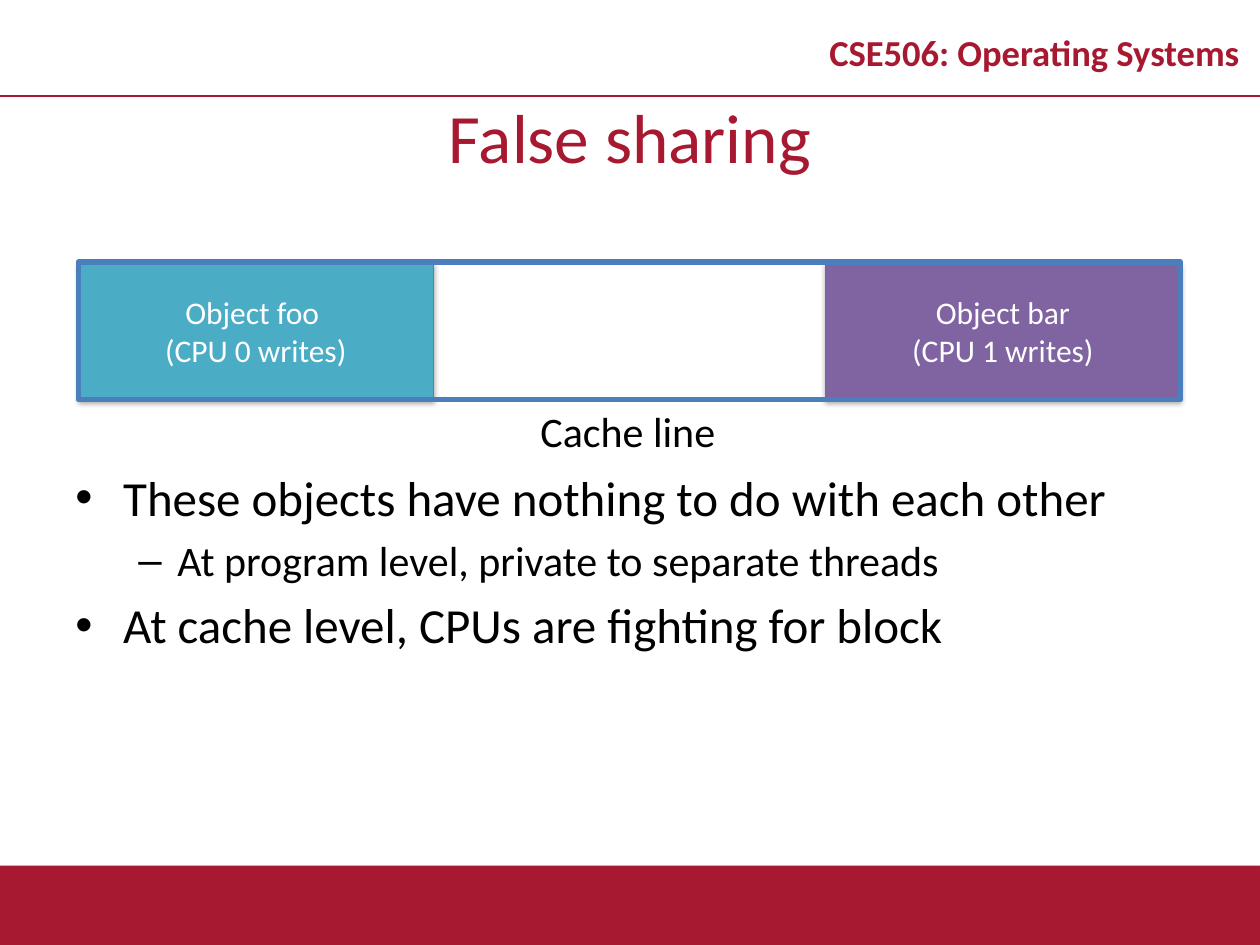
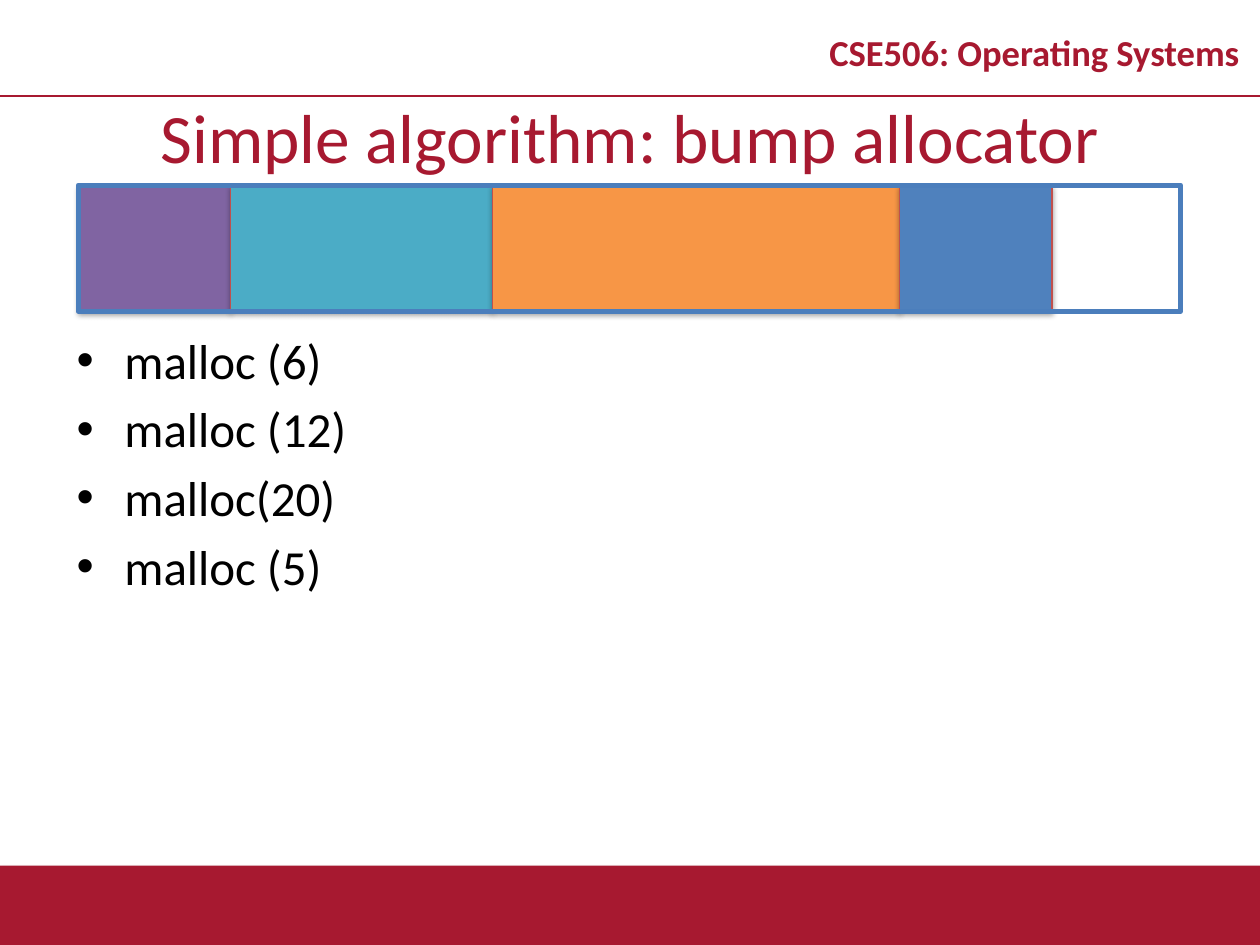
"""Build two operating-systems slides: false sharing and the bump allocator."""
from dataclasses import dataclass
from itertools import accumulate

from lxml.etree import SubElement
from pptx import Presentation
from pptx.dml.color import RGBColor
from pptx.enum.shapes import MSO_CONNECTOR, MSO_SHAPE
from pptx.enum.text import MSO_ANCHOR, PP_ALIGN
from pptx.oxml.ns import qn
from pptx.util import Inches, Length, Pt

COLORS = {
    "crimson": "A71930", "frame": "4B7EBC", "red": "C0504D", "purple": "8064A2",
    "teal": "4BACC6", "orange": "F79646", "blue": "4F81BD",
    "white": "FFFFFF", "black": "000000",
}
FONT = "Calibri"
COLUMNS, ROWS = 100, 75
WIDTH, HEIGHT = Inches(10), Inches(7.5)
RULE_ROW, TITLE_ROWS, FOOTER_ROW = 7.6, 6.3, 68.7
BAR_COLUMN, BAR_COLUMNS = 6.2, 87.5
BODY_BOTTOM = 68.2


@dataclass(frozen=True)
class Area:
    """A rectangle in grid columns and rows."""
    column: float
    row: float
    columns: float
    rows: float

    def lengths(self) -> tuple[int, int, int, int]:
        """Return left, top, width and height."""
        return (across(self.column), down(self.row), across(self.columns), down(self.rows))


@dataclass(frozen=True)
class Block:
    """A filled part of a memory bar."""
    columns: float
    fill: str
    line: str = "red"
    lines: tuple[str, ...] = ()


@dataclass(frozen=True)
class Level:
    """The look of one bullet level."""
    size: float
    mark: str
    indent: float
    hanging: float


LEVELS = (Level(28, "•", 0.38, 0.38), Level(24, "–", 0.81, 0.31))


def across(columns: float) -> Length:
    """Convert grid columns to a length."""
    return Length(WIDTH * columns / COLUMNS)


def down(rows: float) -> Length:
    """Convert grid rows to a length."""
    return Length(HEIGHT * rows / ROWS)


def color(name: str) -> RGBColor:
    """Look up a named colour."""
    return RGBColor.from_string(COLORS[name])


def style(paragraph, size: float, ink: str, align=PP_ALIGN.LEFT, bold: bool = False) -> None:
    """Set the font and alignment of a paragraph."""
    paragraph.alignment = align
    font = paragraph.font
    font.name, font.size, font.bold = FONT, Pt(size), bold
    font.color.rgb = color(ink)


def add_shadow(shape) -> None:
    """Give a shape the soft shadow that falls straight down."""
    effects = shape._element.spPr.find(qn("a:effectLst"))
    shadow = SubElement(effects, qn("a:outerShdw"), blurRad=str(Pt(3.1)), dist=str(Pt(1.8)),
                        dir="5400000", rotWithShape="0")
    tint = SubElement(shadow, qn("a:srgbClr"), val=COLORS["black"])
    SubElement(tint, qn("a:alpha"), val="35000")


def add_rectangle(page, area: Area, fill: str | None, line: str | None = None, weight: float = 0.75):
    """Draw a rectangle; filled ones cast a shadow."""
    shape = page.shapes.add_shape(MSO_SHAPE.RECTANGLE, *area.lengths())
    shape.shadow.inherit = False
    if fill:
        shape.fill.solid()
        shape.fill.fore_color.rgb = color(fill)
        add_shadow(shape)
    else:
        shape.fill.background()
    if line:
        shape.line.color.rgb = color(line)
        shape.line.width = Pt(weight)
    else:
        shape.line.fill.background()
    return shape


def add_text(page, area: Area, text: str, size: float, ink: str, align=PP_ALIGN.CENTER,
             bold: bool = False, anchor=MSO_ANCHOR.MIDDLE, wrap: bool = True):
    """Add a one-paragraph text box and return its paragraph."""
    frame = page.shapes.add_textbox(*area.lengths()).text_frame
    frame.word_wrap, frame.vertical_anchor = wrap, anchor
    paragraph = frame.paragraphs[0]
    paragraph.text = text
    style(paragraph, size, ink, align, bold)
    return paragraph


def add_page(deck, title: str):
    """Add a slide with the shared footer band, rule, course name and title."""
    page = deck.slides.add_slide(deck.slide_layouts[6])
    add_rectangle(page, Area(0, FOOTER_ROW, COLUMNS, ROWS - FOOTER_ROW), "crimson")
    rule = page.shapes.add_connector(MSO_CONNECTOR.STRAIGHT, 0, down(RULE_ROW), WIDTH, down(RULE_ROW))
    rule.line.color.rgb, rule.line.width = color("crimson"), Pt(1)
    SubElement(rule._element.spPr, qn("a:effectLst"))
    course = add_text(page, Area(64.2, 1.3, 35.8, TITLE_ROWS), "CSE506: Operating Systems",
                      20.9, "crimson", bold=True)
    course.line_spacing = 0.8
    add_text(page, Area(0, RULE_ROW, COLUMNS, TITLE_ROWS), title, 39.6, "crimson")
    return page


def add_bullets(page, column: float, row: float, items: list[tuple[int, str]]) -> None:
    """Add a bulleted list of (level, text) items."""
    area = Area(column, row, 90, BODY_BOTTOM - row)
    frame = page.shapes.add_textbox(*area.lengths()).text_frame
    frame.word_wrap = True
    for index, (depth, text) in enumerate(items):
        level = LEVELS[depth]
        paragraph = frame.add_paragraph() if index else frame.paragraphs[0]
        paragraph.text, paragraph.level = text, depth
        style(paragraph, level.size, "black")
        paragraph.space_before = Pt(level.size * 0.2)
        properties = paragraph._p.get_or_add_pPr()
        properties.set("marL", str(Inches(level.indent)))
        properties.set("indent", str(-Inches(level.hanging)))
        mark_font = SubElement(properties, qn("a:buFont"), typeface="Arial")
        mark_font.addnext(properties.makeelement(qn("a:buChar"), {"char": level.mark}))
        properties.append(properties.find(qn("a:defRPr")))


def add_block(page, column: float, row: float, rows: float, block: Block) -> None:
    """Draw one block of a memory bar with its label."""
    shape = add_rectangle(page, Area(column, row, block.columns, rows), block.fill, block.line)
    if block.lines:
        frame = shape.text_frame
        frame.vertical_anchor = MSO_ANCHOR.MIDDLE
        frame.text = "\n".join(block.lines)
        for paragraph in frame.paragraphs:
            style(paragraph, 18, "white", PP_ALIGN.CENTER)


def add_bar_frame(page, row: float, rows: float) -> None:
    """Outline a whole memory bar."""
    add_rectangle(page, Area(BAR_COLUMN, row, BAR_COLUMNS, rows), None, "frame", 3)


def build_false_sharing(deck) -> None:
    """Build the slide on two objects in one cache line."""
    page = add_page(deck, "False sharing")
    row, rows = 20.8, 10.9
    foo = Block(28.2, "teal", "frame", ("Object foo ", "(CPU 0 writes)"))
    bar = Block(28.2, "purple", "red", ("Object bar", "(CPU 1 writes)"))
    add_block(page, BAR_COLUMN, row, rows, foo)
    add_block(page, BAR_COLUMN + BAR_COLUMNS - bar.columns, row, rows, bar)
    add_bullets(page, 5, 36.6, [
        (0, "These objects have nothing to do with each other"),
        (1, "At program level, private to separate threads"),
        (0, "At cache level, CPUs are fighting for block"),
    ])
    add_bar_frame(page, row, rows)
    add_text(page, Area(41.9, row + rows, 17.1, 5), "Cache line", 24, "black",
             PP_ALIGN.LEFT, anchor=MSO_ANCHOR.TOP, wrap=False)


def build_bump_allocator(deck) -> None:
    """Build the slide on allocations laid end to end."""
    page = add_page(deck, "Simple algorithm: bump allocator")
    row, rows = 14.7, 10
    add_bullets(page, 5.1, 25.7, [
        (0, text) for text in ("malloc (6)", "malloc (12)", "malloc(20)", "malloc (5)")
    ])
    blocks = [Block(12.1, "purple"), Block(20.8, "teal"), Block(32.3, "orange"), Block(12.1, "blue")]
    starts = accumulate((block.columns for block in blocks), initial=BAR_COLUMN)
    for column, block in zip(starts, blocks):
        add_block(page, column, row, rows, block)
    add_bar_frame(page, row, rows)


def main() -> None:
    """Build and save the deck."""
    deck = Presentation()
    deck.slide_width, deck.slide_height = WIDTH, HEIGHT
    build_false_sharing(deck)
    build_bump_allocator(deck)
    deck.save("out.pptx")


main()
